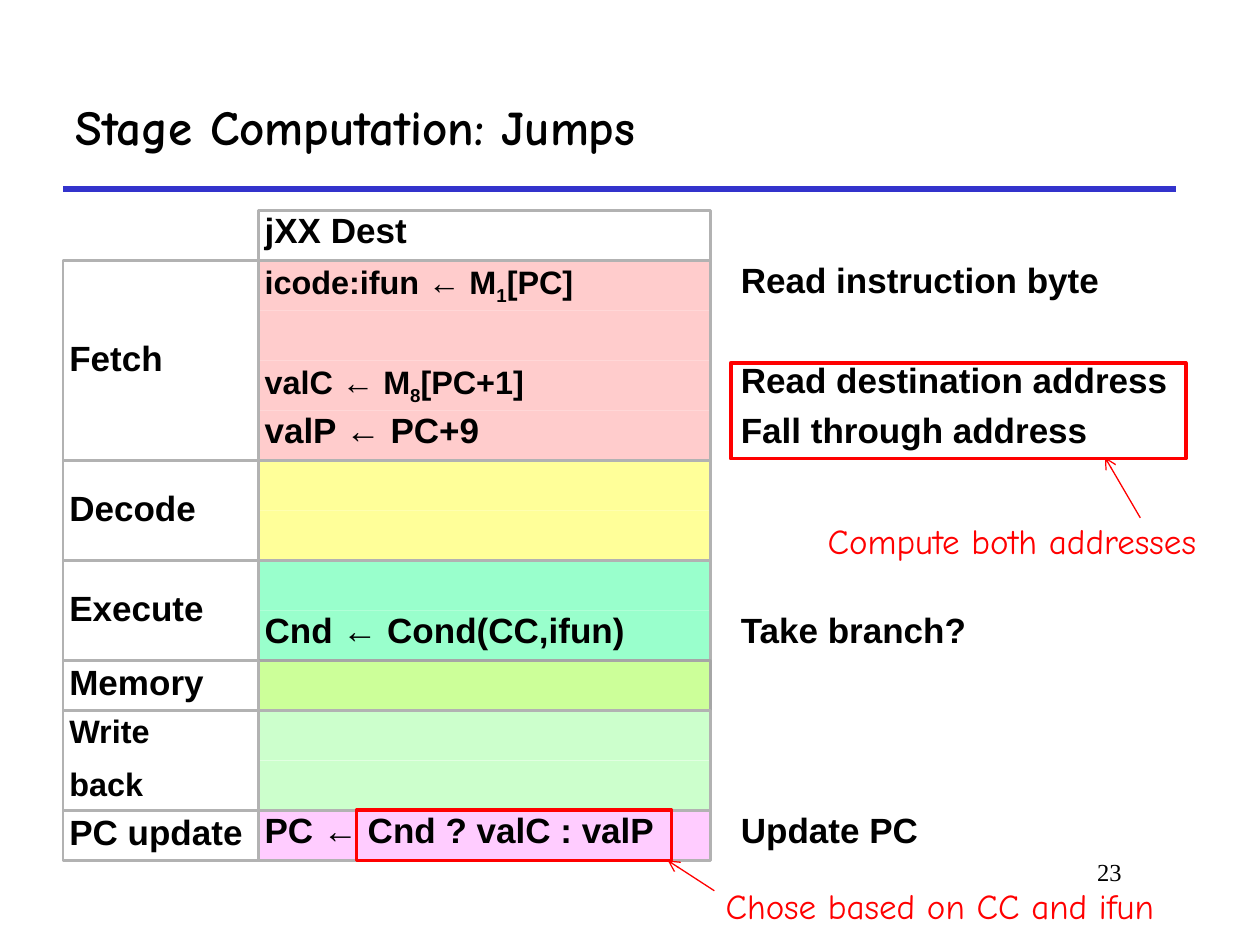
from lxml import etree
from pptx import Presentation
from pptx.dml.color import RGBColor
from pptx.enum.shapes import MSO_CONNECTOR as Link, MSO_SHAPE as Shape
from pptx.enum.text import MSO_ANCHOR as Anchor, MSO_AUTO_SIZE as Fit, PP_ALIGN as Align
from pptx.oxml.ns import qn
from pptx.util import Inches, Pt

INK = {"text": "000000", "rule": "3333CC", "edge": "B2B2B2", "dark": "A6A6A6", "mark": "FF0000",
       "paper": "FFFFFF", "fetch": "FFCCCC", "decode": "FFFF99", "execute": "99FFCC",
       "memory": "CCFF99", "write": "CCFFCC", "update": "FFCCFF"}
LEFT, MID, NOTE = 0.5, 2.05, 5.83
SIDE, WIDE = 1.55, 3.59
TOP, ROW = 1.67, (6.83 - 1.67) / 13
STAGES = [
    ("Fetch", "fetch", [("icode:ifun ← M_1_[PC]", "Read instruction byte"), ("", ""),
                        ("valC ← M_8_[PC+1]", "Read destination address"),
                        ("valP ← PC+9", "Fall through address")]),
    ("Decode", "decode", [("", ""), ("", "")]),
    ("Execute", "execute", [("", ""), ("Cnd ← Cond(CC,ifun)", "Take branch?")]),
    ("Memory", "memory", [("", "")]),
    ("Write\nback", "write", [("", ""), ("", "")]),
    ("PC update", "update", [("PC ← Cnd ? valC : valP", "Update PC")]),
]


def color(name):
    """Return the named colour."""
    return RGBColor.from_string(INK[name])


def write(frame, text, size, face="Arial", ink="text", bold=True, space=0.8, gap=12.5):
    """Fill a text frame; parts between underscores are subscripts."""
    for i, line in enumerate(text.split("\n")):
        para = frame.add_paragraph() if i else frame.paragraphs[0]
        para.alignment = Align.LEFT
        para.line_spacing = space
        para.space_before = Pt(gap if i else 0)
        for k, part in enumerate(line.split("_")):
            run = para.add_run()
            run.text = part
            if k % 2:
                run.font._element.set("baseline", "-25000")
        font = para.font
        font.size, font.name, font.bold = Pt(size), face, bold
        font.color.rgb = color(ink)


def pad(frame, x=0.05, y=0.05, anchor=Anchor.TOP, wrap=True):
    """Set the margins, anchor and wrap of a text frame."""
    frame.margin_left = frame.margin_right = Inches(x)
    frame.margin_top = frame.margin_bottom = Inches(y)
    frame.vertical_anchor, frame.word_wrap = anchor, wrap


def block(slide, x, y, w, h, fill=None, edge=None, width=1.5):
    """Add a rectangle with an optional fill and outline."""
    rect = slide.shapes.add_shape(Shape.RECTANGLE, Inches(x), Inches(y), Inches(w), Inches(h))
    rect.shadow.inherit = False
    if fill:
        rect.fill.solid()
        rect.fill.fore_color.rgb = color(fill)
    else:
        rect.fill.background()
    if edge:
        rect.line.color.rgb = color(edge)
        rect.line.width = Pt(width)
    else:
        rect.line.fill.background()
    pad(rect.text_frame)
    return rect


def label(slide, x, y, w, h):
    """Add a plain text box and return its frame."""
    return slide.shapes.add_textbox(Inches(x), Inches(y), Inches(w), Inches(h)).text_frame


def stroke(slide, start, end, ink, width, arrow=False):
    """Draw a straight line, with an arrowhead at its end if asked."""
    ends = [Inches(v) for v in (*start, *end)]
    line = slide.shapes.add_connector(Link.STRAIGHT, *ends)
    line.line.color.rgb = color(ink)
    line.line.width = Pt(width)
    if arrow:
        etree.SubElement(line.line._get_or_add_ln(), qn("a:tailEnd"), type="arrow")
    etree.SubElement(line._element.spPr, qn("a:effectLst"))


def header(slide, x, y, w, h):
    """Place the title and the rule under it."""
    stroke(slide, (x, y + h), (x + w, y + h), "rule", 3)
    frame = label(slide, x, y, w, h)
    pad(frame, 0.1, anchor=Anchor.MIDDLE)
    write(frame, "Stage Computation: Jumps", 28, "Comic Neue", space=1)


def stage(slide, y, name, fill, rows):
    """Place one stage: its name, its steps and their notes."""
    tall = len(rows) * ROW
    single = len(rows) == 1
    edge = "dark" if name == "Memory" else "edge"
    for i, (step, note) in enumerate(rows):
        top = y + i * ROW
        cell = block(slide, MID, top, WIDE, ROW, fill, edge if single else None)
        if step:
            write(cell.text_frame, step, 18.5 if "_" in step else 20)
        if note:
            frame = label(slide, NOTE, top, WIDE, ROW)
            pad(frame)
            write(frame, note, 20)
    if not single:
        block(slide, MID, y, WIDE, tall, edge="edge")
    side = block(slide, LEFT, y, SIDE, tall, edge="edge").text_frame
    side.vertical_anchor = Anchor.MIDDLE
    split = "\n" in name
    write(side, name, 18.5 if split else 20, space=0.8 if single or split else 0.9)


def table(slide, y):
    """Stack the heading cell and all stages downwards from y."""
    head = block(slide, MID, y, WIDE, ROW, edge="edge")
    write(head.text_frame, "jXX Dest", 20)
    y += ROW
    for name, fill, rows in STAGES:
        stage(slide, y, name, fill, rows)
        y += len(rows) * ROW


def remark(slide, text, spot, frame, start, end):
    """Frame a part in red and point to it from a remark."""
    note = block(slide, *spot, 0.4, "paper").text_frame
    pad(note, 0.1, wrap=False)
    note.auto_size = Fit.SHAPE_TO_FIT_TEXT
    write(note, text, 20, "Comic Neue", "mark", False, 0.9)
    block(slide, *frame, edge="mark", width=2.25)
    stroke(slide, start, end, "mark", 0.75, True)


def number(slide, x, y, w, h):
    """Place the slide number."""
    frame = label(slide, x, y, w, h)
    pad(frame, 0.1)
    write(frame, "23", 14, "Times New Roman", bold=False, space=1)
    frame.paragraphs[0].alignment = Align.RIGHT


def main():
    """Build and save the slide."""
    deck = Presentation()
    deck.slide_width, deck.slide_height = Inches(10), Inches(7.5)
    slide = deck.slides.add_slide(deck.slide_layouts[6])
    header(slide, LEFT, 0.5, 8.83, 1)
    number(slide, 7.58, 6.75, 1.42, 0.5)
    table(slide, TOP)
    remark(slide, "Compute both addresses", (6.47, 4.11, 3.14),
           (5.8, 2.88, 3.61, 0.76), (9.05, 4.11), (8.77, 3.63))
    remark(slide, "Chose based on CC and ifun", (5.66, 7.01, 3.61),
           (2.83, 6.43, 2.5, 0.4), (5.67, 7.07), (5.3, 6.83))
    deck.save("out.pptx")


if __name__ == "__main__":
    main()
